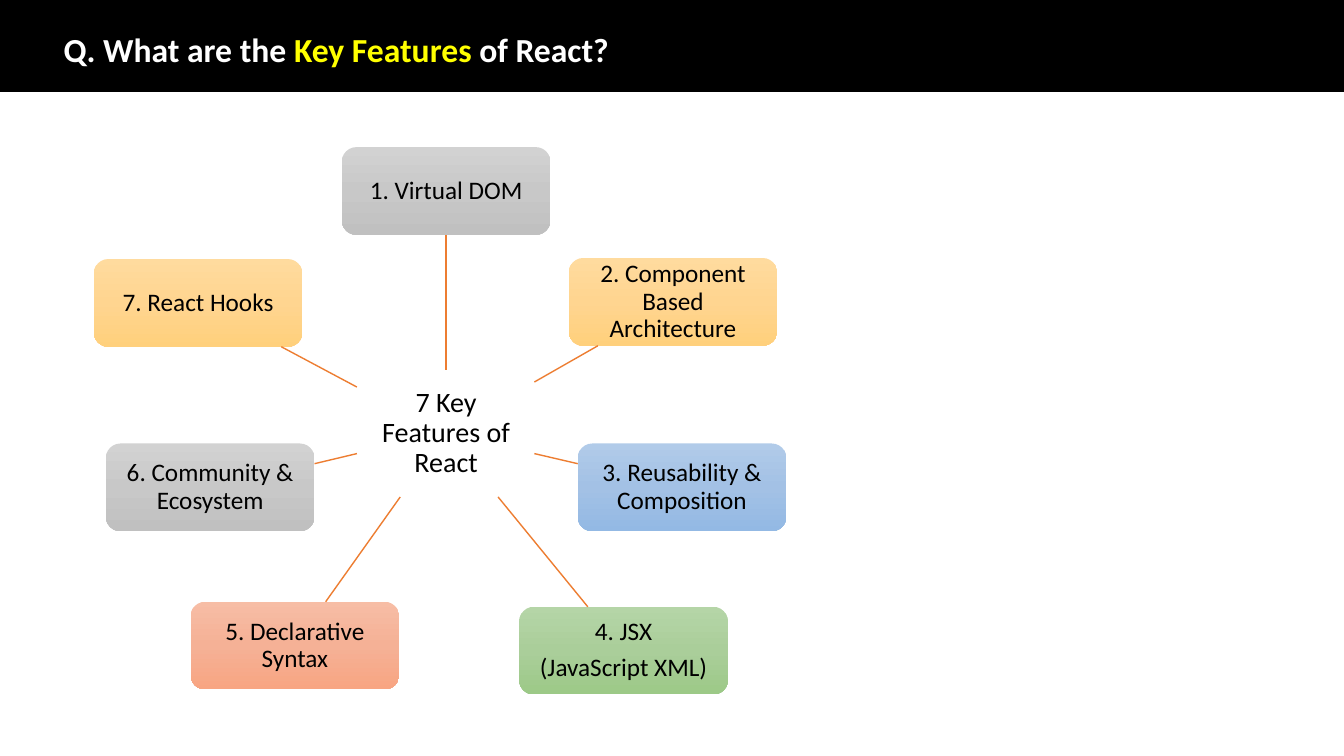
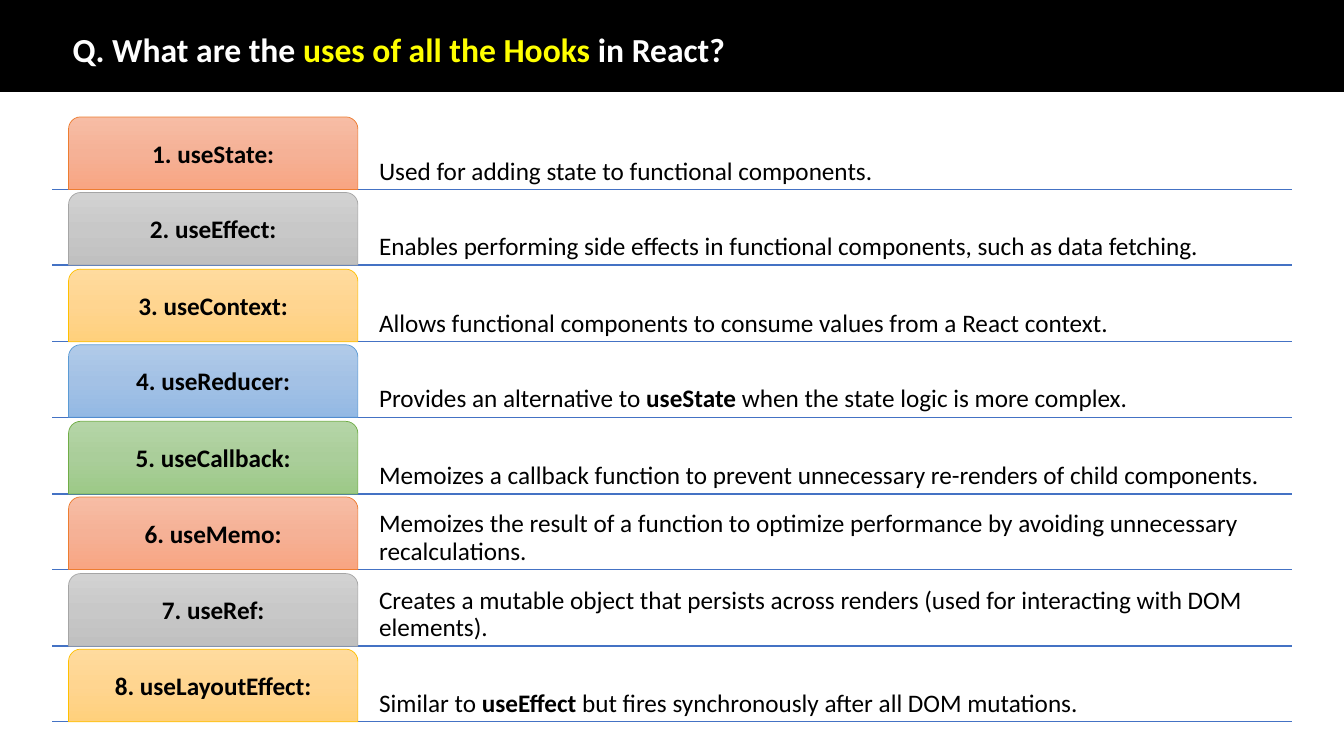
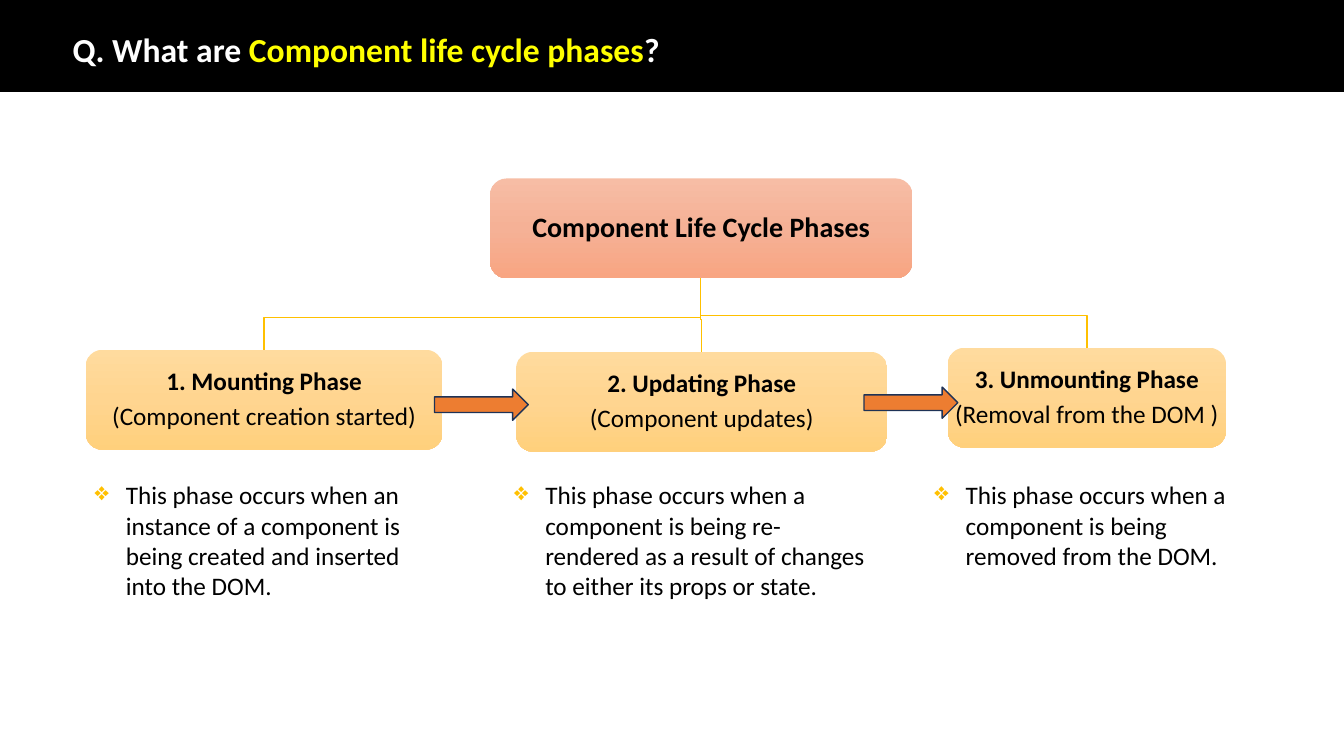
from copy import deepcopy
from typing import NamedTuple, Optional

from lxml import etree
from pptx import Presentation
from pptx.dml.color import RGBColor
from pptx.enum.shapes import MSO_CONNECTOR, MSO_SHAPE
from pptx.enum.text import MSO_ANCHOR, MSO_AUTO_SIZE, PP_ALIGN
from pptx.oxml.ns import qn
from pptx.util import Pt

# Enum members
LEFT, CENTER = PP_ALIGN.LEFT, PP_ALIGN.CENTER
TOP, MIDDLE, BOTTOM = MSO_ANCHOR.TOP, MSO_ANCHOR.MIDDLE, MSO_ANCHOR.BOTTOM
NO_FIT, GROW = MSO_AUTO_SIZE.NONE, MSO_AUTO_SIZE.SHAPE_TO_FIT_TEXT
STRAIGHT = MSO_CONNECTOR.STRAIGHT
RECTANGLE, ROUNDED = MSO_SHAPE.RECTANGLE, MSO_SHAPE.ROUNDED_RECTANGLE
TAB = MSO_SHAPE.ROUND_2_SAME_RECTANGLE
PROCESS = MSO_SHAPE.FLOWCHART_ALTERNATE_PROCESS
RIGHT_ARROW = MSO_SHAPE.RIGHT_ARROW

# Scale: 100 px to the inch
PX = 9144
PAGE_WIDTH, PAGE_HEIGHT = 1333, 750
FONT = "Calibri"
TITLE_ONLY = 5
SIDE_TOP, SIDE_BOTTOM = 0, 2

BLACK = RGBColor(0x00, 0x00, 0x00)
WHITE = RGBColor(0xFF, 0xFF, 0xFF)
YELLOW = RGBColor(0xFF, 0xFF, 0x00)
ORANGE_LINE = RGBColor(0xED, 0x7D, 0x31)
GOLD_LINE = RGBColor(0xFF, 0xC0, 0x00)
BLUE_RULE = RGBColor(0x44, 0x72, 0xC4)
ARROW_EDGE = RGBColor(0x1E, 0x32, 0x56)


class Tone(NamedTuple):
    """A vertical gradient and the matching outline."""
    upper: RGBColor
    middle: RGBColor
    lower: RGBColor
    edge: RGBColor


ORANGE = Tone(RGBColor(0xF7, 0xBD, 0xA5), RGBColor(0xF5, 0xB1, 0x96),
              RGBColor(0xF8, 0xA5, 0x82), ORANGE_LINE)
GREY = Tone(RGBColor(0xD2, 0xD2, 0xD2), RGBColor(0xC8, 0xC8, 0xC8),
            RGBColor(0xC0, 0xC0, 0xC0), RGBColor(0xA5, 0xA5, 0xA5))
GOLD = Tone(RGBColor(0xFF, 0xDB, 0x9E), RGBColor(0xFF, 0xD5, 0x90),
            RGBColor(0xFF, 0xD0, 0x7C), GOLD_LINE)
BLUE = Tone(RGBColor(0xB1, 0xCB, 0xE9), RGBColor(0xA3, 0xC1, 0xE5),
            RGBColor(0x93, 0xB9, 0xE4), RGBColor(0x5B, 0x9B, 0xD5))
GREEN = Tone(RGBColor(0xB5, 0xD5, 0xA7), RGBColor(0xAA, 0xCE, 0x9A),
             RGBColor(0x9C, 0xC9, 0x87), RGBColor(0x70, 0xAD, 0x47))
TONES = (ORANGE, GREY, GOLD, BLUE, GREEN)


class Area(NamedTuple):
    left: int
    top: int
    width: int
    height: int

    def emu(self) -> list:
        return [length * PX for length in self]


class Span(NamedTuple):
    text: str
    bold: bool = False
    color: Optional[RGBColor] = None


class Line(NamedTuple):
    """One paragraph."""
    spans: tuple
    size: int = 18
    bold: bool = False
    color: RGBColor = BLACK
    align: PP_ALIGN = CENTER
    spacing: float = 0.9
    after: int = 6
    bullet: str = ""


class Feature(NamedTuple):
    lines: tuple
    left: int
    top: int
    tone: Tone
    spoke: Optional[tuple] = None


class Hook(NamedTuple):
    name: str
    use: tuple


class Phase(NamedTuple):
    name: str
    detail: str
    area: Area
    note: str
    note_area: Area


# Shared drawing functions
def add_bullet(para, mark: str) -> None:
    properties = para._p.get_or_add_pPr()
    properties.set("marL", str(31 * PX))
    properties.set("indent", str(-31 * PX))
    color = etree.SubElement(properties, qn("a:buClr"))
    etree.SubElement(color, qn("a:srgbClr")).set("val", str(GOLD_LINE))
    etree.SubElement(properties, qn("a:buChar")).set("char", mark)


def write(box, lines: tuple, anchor: MSO_ANCHOR = MIDDLE,
          inset: Optional[int] = None, fit: MSO_AUTO_SIZE = NO_FIT) -> None:
    frame = box.text_frame
    frame.word_wrap = True
    frame.auto_size = fit
    frame.vertical_anchor = anchor
    if inset is not None:
        frame.margin_left = frame.margin_right = inset * PX
        frame.margin_top = frame.margin_bottom = inset * PX
    for index, line in enumerate(lines):
        para = frame.add_paragraph() if index else frame.paragraphs[0]
        if line.bullet:
            add_bullet(para, line.bullet)
        para.alignment = line.align
        para.line_spacing = line.spacing
        para.space_before = Pt(0)
        para.space_after = Pt(line.after)
        font = para.font
        font.name, font.size, font.bold = FONT, Pt(line.size), line.bold
        font.color.rgb = line.color
        for span in line.spans:
            run = para.add_run()
            run.text = span.text
            if span.bold:
                run.font.bold = True
            if span.color is not None:
                run.font.color.rgb = span.color


def add_box(page, kind: MSO_SHAPE, area: Area, fill: RGBColor,
            edge: Optional[RGBColor] = None, weight: float = 1):
    box = page.shapes.add_shape(kind, *area.emu())
    box.shadow.inherit = False
    box.fill.solid()
    box.fill.fore_color.rgb = fill
    if edge is None:
        box.line.fill.background()
    else:
        box.line.color.rgb = edge
        box.line.width = Pt(weight)
    return box


def add_toned_box(page, kind: MSO_SHAPE, area: Area, tone: Tone,
                  edge: Optional[RGBColor] = None):
    box = add_box(page, kind, area, tone.middle, edge, 0.5)
    box.fill.gradient()
    box.fill.gradient_angle = 270
    stop_list = box.element.spPr.find(".//" + qn("a:gsLst"))
    stop_list.insert(1, deepcopy(stop_list[0]))
    for index, stop in enumerate(box.fill.gradient_stops):
        stop.position = index / 2
        stop.color.rgb = tone[index]
    return box


def add_text(page, area: Area, line: Line, anchor: MSO_ANCHOR,
             inset: Optional[int] = None, fit: MSO_AUTO_SIZE = NO_FIT) -> None:
    write(page.shapes.add_textbox(*area.emu()), (line,), anchor, inset, fit)


def add_line(page, start: tuple, end: tuple, color: RGBColor):
    points = [length * PX for length in start + end]
    connector = page.shapes.add_connector(STRAIGHT, *points)
    connector.line.color.rgb = color
    connector.line.width = Pt(1)
    etree.SubElement(connector.element.spPr, qn("a:effectLst"))
    return connector


def add_titled_page(deck, left: int, before: str, key: str, after: str):
    page = deck.slides.add_slide(deck.slide_layouts[TITLE_ONLY])
    title = page.shapes.title
    band = add_box(page, RECTANGLE, Area(0, 0, PAGE_WIDTH, 91), BLACK, BLACK)
    title.element.addprevious(band.element)
    title.left, title.top, title.width, title.height = Area(left, 34, 1150, 35).emu()
    spans = (Span(before), Span(key, color=YELLOW), Span(after))
    write(title, (Line(spans, 24, True, WHITE, LEFT, after=0),))
    return page


# Slide 1: features around a hub
HUB = Area(354, 367, 177, 126)
FEATURE_WIDTH, FEATURE_HEIGHT = 207, 87
FEATURES = (
    Feature(("1. Virtual DOM",), 339, 146, GREY),
    Feature(("2. Component Based Architecture",), 564, 256, GOLD,
            ((530, 379), (593, 343))),
    Feature(("3. Reusability & Composition",), 573, 440, BLUE,
            ((530, 450), (573, 460))),
    Feature(("4. JSX", "(JavaScript XML)"), 515, 602, GREEN,
            ((494, 493), (583, 602))),
    Feature(("5. Declarative Syntax",), 189, 597, ORANGE,
            ((397, 493), (323, 597))),
    Feature(("6. Community & Ecosystem",), 105, 440, GREY,
            ((354, 450), (312, 460))),
    Feature(("7. React Hooks",), 93, 257, GOLD,
            ((354, 384), (279, 344))),
)


def build_features(deck) -> None:
    page = add_titled_page(deck, 53, "Q. What are the ", "Key Features", " of React?")
    hub = add_box(page, ROUNDED, HUB, WHITE)
    write(hub, (Line((Span("7 Key Features of React"),), 20),), inset=6)
    for feature in FEATURES:
        area = Area(feature.left, feature.top, FEATURE_WIDTH, FEATURE_HEIGHT)
        box = add_toned_box(page, ROUNDED, area, feature.tone)
        write(box, tuple(Line((Span(text),)) for text in feature.lines), inset=5)
        if feature.spoke:
            add_line(page, *feature.spoke, ORANGE_LINE)
        else:
            spoke = add_line(page, (0, 0), (0, 0), ORANGE_LINE)
            spoke.begin_connect(hub, SIDE_TOP)
            spoke.end_connect(box, SIDE_BOTTOM)


# Slide 2: one ruled row per hook
ROW_TOP, ROW_HEIGHT, TWO_ROWS = 116, 72, 151
HOOKS = (
    Hook("useState", (Span("Used for adding state to functional components."),)),
    Hook("useEffect", (Span("Enables performing side effects in functional "
                            "components, such as data fetching."),)),
    Hook("useContext", (Span("Allows functional components to consume values "
                             "from a React context."),)),
    Hook("useReducer", (Span("Provides an alternative to "), Span("useState", True),
                        Span(" when the state logic is more complex."))),
    Hook("useCallback", (Span("Memoizes a callback function to prevent unnecessary "
                              "re-renders of child components."),)),
    Hook("useMemo", (Span("Memoizes the result of a function to optimize performance "
                          "by avoiding unnecessary recalculations."),)),
    Hook("useRef", (Span("Creates a mutable object that persists across renders "
                         "(used for interacting with DOM elements)."),)),
    Hook("useLayoutEffect", (Span("Similar to "), Span("useEffect", True),
                             Span(" but fires synchronously after all DOM mutations."))),
)


def build_hooks(deck) -> None:
    page = add_titled_page(deck, 62, "Q. What are the ", "uses of all the Hooks",
                           " in React?")
    for index, hook in enumerate(HOOKS):
        top = ROW_TOP + TWO_ROWS * index // 2
        tone = TONES[index % len(TONES)]
        rule = top + ROW_HEIGHT
        add_line(page, (52, rule), (1281, rule), BLUE_RULE)
        add_text(page, Area(372, top, 910, ROW_HEIGHT),
                 Line(hook.use, align=LEFT), BOTTOM, 4)
        tab = add_toned_box(page, TAB, Area(68, top, 287, ROW_HEIGHT), tone, tone.edge)
        write(tab, (Line((Span(f"{index + 1}. {hook.name}:"),), bold=True),), inset=4)


# Slide 3: a tree of phases with notes
ROOT = Area(486, 177, 419, 99)
BEND_ABOVE_PHASE = 32
PHASES = (
    Phase("1. Mounting Phase", "(Component creation started)", Area(85, 347, 354, 99),
          "This phase occurs when an instance of a component is being created "
          "and inserted into the DOM.", Area(84, 471, 340, 131)),
    Phase("2. Updating Phase", "(Component updates)", Area(512, 349, 368, 99),
          "This phase occurs when a component is being re-rendered as a result "
          "of changes to either its props or state.", Area(500, 471, 375, 131)),
    Phase("3. Unmounting Phase", "(Removal from the DOM )", Area(940, 345, 276, 99),
          "This phase occurs when a component is being removed from the DOM.",
          Area(917, 471, 340, 101)),
)
ARROWS = (Area(431, 386, 93, 31), Area(857, 384, 93, 31))


def add_branch(page, parent: Area, child: Area) -> None:
    start_x, start_y = parent.left + parent.width // 2, parent.top + parent.height
    end_x = child.left + child.width // 2
    bend = child.top - BEND_ABOVE_PHASE
    builder = page.shapes.build_freeform(start_x, start_y, scale=PX)
    builder.add_line_segments(
        [(start_x, bend), (end_x, bend), (end_x, child.top)], close=False)
    branch = builder.convert_to_shape()
    branch.shadow.inherit = False
    branch.fill.background()
    branch.line.color.rgb = GOLD_LINE
    branch.line.width = Pt(1)


def build_phases(deck) -> None:
    page = add_titled_page(deck, 62, "Q. What are ", "Component life cycle phases", "?")
    for phase in PHASES:
        add_branch(page, ROOT, phase.area)
    root = add_toned_box(page, PROCESS, ROOT, ORANGE)
    write(root, (Line((Span("Component Life Cycle Phases"),), 20, True),), inset=1)
    for phase in PHASES:
        box = add_toned_box(page, PROCESS, phase.area, GOLD)
        write(box, (Line((Span(phase.name),), bold=True),
                    Line((Span(phase.detail),))), inset=1)
        note = Line((Span(phase.note),), align=LEFT, spacing=1.0, after=0, bullet="❖")
        add_text(page, phase.note_area, note, TOP, fit=GROW)
    for area in ARROWS:
        add_box(page, RIGHT_ARROW, area, ORANGE_LINE, ARROW_EDGE)


def main() -> None:
    deck = Presentation()
    deck.slide_width, deck.slide_height = PAGE_WIDTH * PX, PAGE_HEIGHT * PX
    build_features(deck)
    build_hooks(deck)
    build_phases(deck)
    deck.save("out.pptx")


if __name__ == "__main__":
    main()
